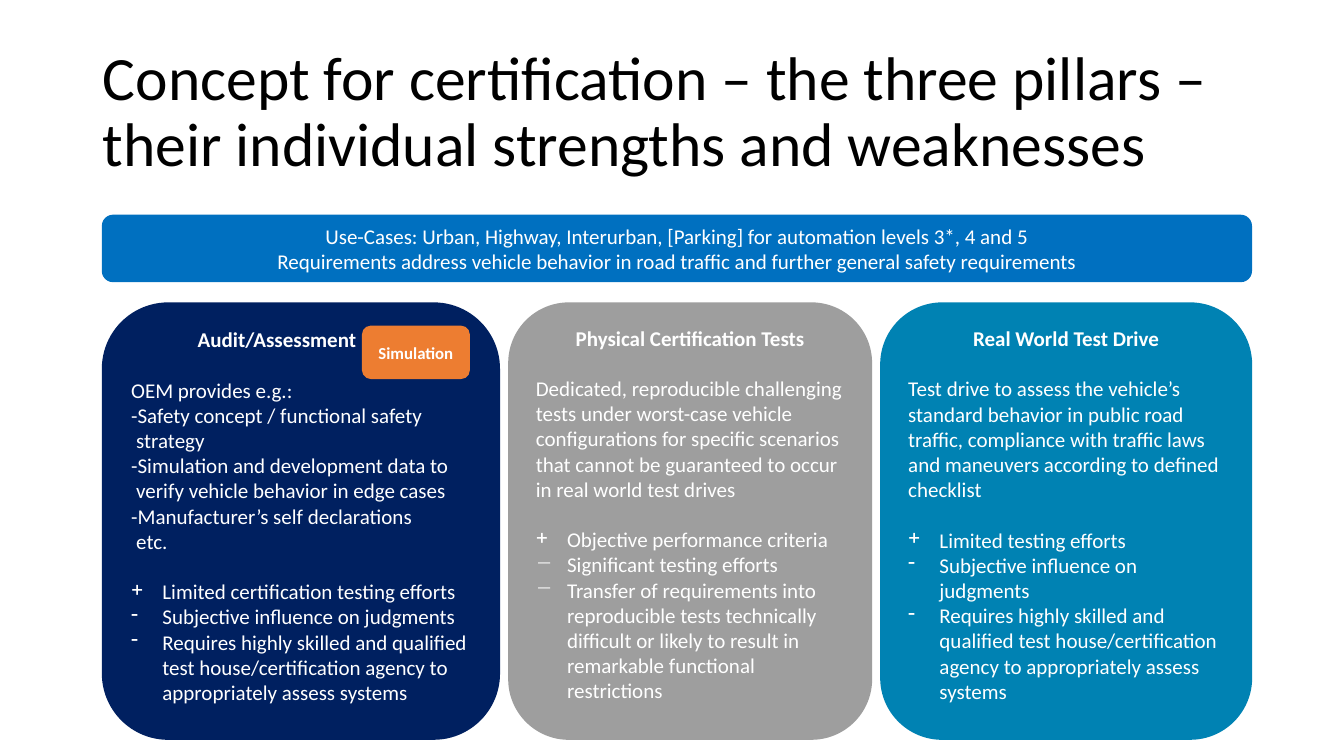
import pptx
import pptx.util
import pptx.dml.color
import pptx.enum.shapes
import pptx.enum.text
from dataclasses import dataclass
from lxml import etree

ALIGN = pptx.enum.text.PP_ALIGN
ANCHOR = pptx.enum.text.MSO_ANCHOR


@dataclass(frozen=True)
class Theme:
    font: str = "Calibri"
    title_size: int = 44
    body_size: int = 15
    tag_size: int = 12
    line_gap: int = 18
    black: str = "000000"
    white: str = "FFFFFF"
    banner: str = "0070C0"
    tag: str = "ED7D31"
    audit: str = "002060"
    tests: str = "9E9E9E"
    drive: str = "0082B3"


THEME = Theme()

TITLE = "Concept for certification – the three pillars – their individual strengths and weaknesses"
USE_CASES = (
    "Use-Cases: Urban, Highway, Interurban, [Parking] for automation levels 3*, 4 and 5\v"
    "Requirements address vehicle behavior in road traffic and further general safety requirements"
)
SKILL_NEED = "Requires highly skilled and qualified test house/certification agency to appropriately assess systems"
SUBJECTIVE = "Subjective influence on judgments"

PILLARS = [
    {
        "columns": 29.63,
        "fill": THEME.audit,
        "heading": "Audit/Assessment",
        "heading_indent": 0.66,
        "body": [
            "OEM provides e.g.:",
            "-Safety concept / functional safety strategy",
            "-Simulation and development data to verify vehicle behavior in edge cases",
            "-Manufacturer’s self declarations",
            "etc.",
        ],
        "body_hang": 0.05,
        "points": [("+", "Limited certification testing efforts"), ("-", SUBJECTIVE), ("-", SKILL_NEED)],
    },
    {
        "columns": 27.08,
        "fill": THEME.tests,
        "heading": "Physical Certification Tests",
        "body": [
            "Dedicated, reproducible challenging tests under worst-case vehicle configurations "
            "for specific scenarios that cannot be guaranteed to occur in real world test drives",
        ],
        "points": [
            ("+", "Objective performance criteria"),
            ("−", "Significant testing efforts"),
            ("−", "Transfer of requirements into reproducible tests technically difficult "
                  "or likely to result in remarkable functional restrictions"),
        ],
    },
    {
        "columns": 27.68,
        "fill": THEME.drive,
        "heading": "Real World Test Drive",
        "body": [
            "Test drive to assess the vehicle’s standard behavior in public road traffic, "
            "compliance with traffic laws and maneuvers according to defined checklist",
        ],
        "points": [("+", "Limited testing efforts"), ("-", SUBJECTIVE), ("-", SKILL_NEED)],
    },
]

LEFT, GAP, FULL = 7.58, 0.6, 85.58
PILLAR_TOP, PILLAR_ROWS = 40, 57.87
BANNER_BOX = (LEFT, 28.4, FULL, 8.93)
TAG_BOX = (26.93, 43.07, 8.03, 7.07)
TITLE_BOX = (6.9, 5.33, 86.25, 19.33)
POINT_HANG = 0.31

prs = pptx.Presentation()
prs.slide_width = pptx.util.Inches(13.33)
prs.slide_height = pptx.util.Inches(7.5)
COLUMN, ROW = prs.slide_width / 100, prs.slide_height / 100


def place(box):
    return [int(n * unit) for n, unit in zip(box, (COLUMN, ROW, COLUMN, ROW))]


def style(p, size, color=THEME.white, bold=False):
    for r in p.runs:
        r.font.name = THEME.font
        r.font.size = pptx.util.Pt(size)
        r.font.bold = bold
        r.font.color.rgb = pptx.dml.color.RGBColor.from_string(color)


def indent(p, left, first=0):
    pPr = p._p.get_or_add_pPr()
    pPr.set("marL", str(pptx.util.Inches(left)))
    pPr.set("indent", str(pptx.util.Inches(first)))
    return pPr


def rounded(s, box, fill, anchor=ANCHOR.MIDDLE):
    sp = s.shapes.add_shape(pptx.enum.shapes.MSO_SHAPE.ROUNDED_RECTANGLE, *place(box))
    sp.shadow.inherit = False
    sp.fill.solid()
    sp.fill.fore_color.rgb = pptx.dml.color.RGBColor.from_string(fill)
    sp.line.fill.background()
    sp.text_frame.word_wrap = True
    sp.text_frame.vertical_anchor = anchor
    return sp


def label(s, box, fill, text, size, bold=False):
    p = rounded(s, box, fill).text_frame.paragraphs[0]
    p.text = text
    p.alignment = ALIGN.CENTER
    style(p, size, bold=bold)


def pillar(s, left, item):
    box = (left, PILLAR_TOP, item["columns"], PILLAR_ROWS)
    tf = rounded(s, box, item["fill"], ANCHOR.TOP).text_frame
    body, points = item["body"], item["points"]
    tf.text = "\n".join([item["heading"], *body, *(text for _, text in points)])
    heading, *rest = tf.paragraphs
    style(heading, THEME.body_size, bold=True)
    heading.alignment = ALIGN.CENTER
    if "heading_indent" in item:
        heading.alignment = ALIGN.LEFT
        indent(heading, item["heading_indent"])
    for p in rest:
        p.alignment = ALIGN.LEFT
        style(p, THEME.body_size)
    body_ps, point_ps = rest[:len(body)], rest[len(body):]
    for first in (body_ps[0], point_ps[0]):
        first.space_before = pptx.util.Pt(THEME.line_gap)
    hang = item.get("body_hang", 0)
    for p in body_ps[1:]:
        indent(p, hang, -hang if p.text.startswith("-") else 0)
    for p, (mark, _) in zip(point_ps, points):
        pPr = indent(p, POINT_HANG, -POINT_HANG)
        etree.SubElement(pPr, pptx.oxml.ns.qn("a:buChar")).set("char", mark)


def main():
    s = prs.slides.add_slide(prs.slide_layouts[5])
    title = s.shapes.title
    title.left, title.top, title.width, title.height = place(TITLE_BOX)
    tf = title.text_frame
    tf.text = TITLE
    tf.word_wrap = True
    tf.auto_size = pptx.enum.text.MSO_AUTO_SIZE.NONE
    tf.vertical_anchor = ANCHOR.MIDDLE
    p = tf.paragraphs[0]
    p.alignment = ALIGN.LEFT
    p.line_spacing = 0.9
    style(p, THEME.title_size, THEME.black)

    label(s, BANNER_BOX, THEME.banner, USE_CASES, THEME.body_size)
    left = LEFT
    for item in PILLARS:
        pillar(s, left, item)
        left += item["columns"] + GAP
    label(s, TAG_BOX, THEME.tag, "Simulation", THEME.tag_size, bold=True)
    prs.save("out.pptx")


if __name__ == "__main__":
    main()
